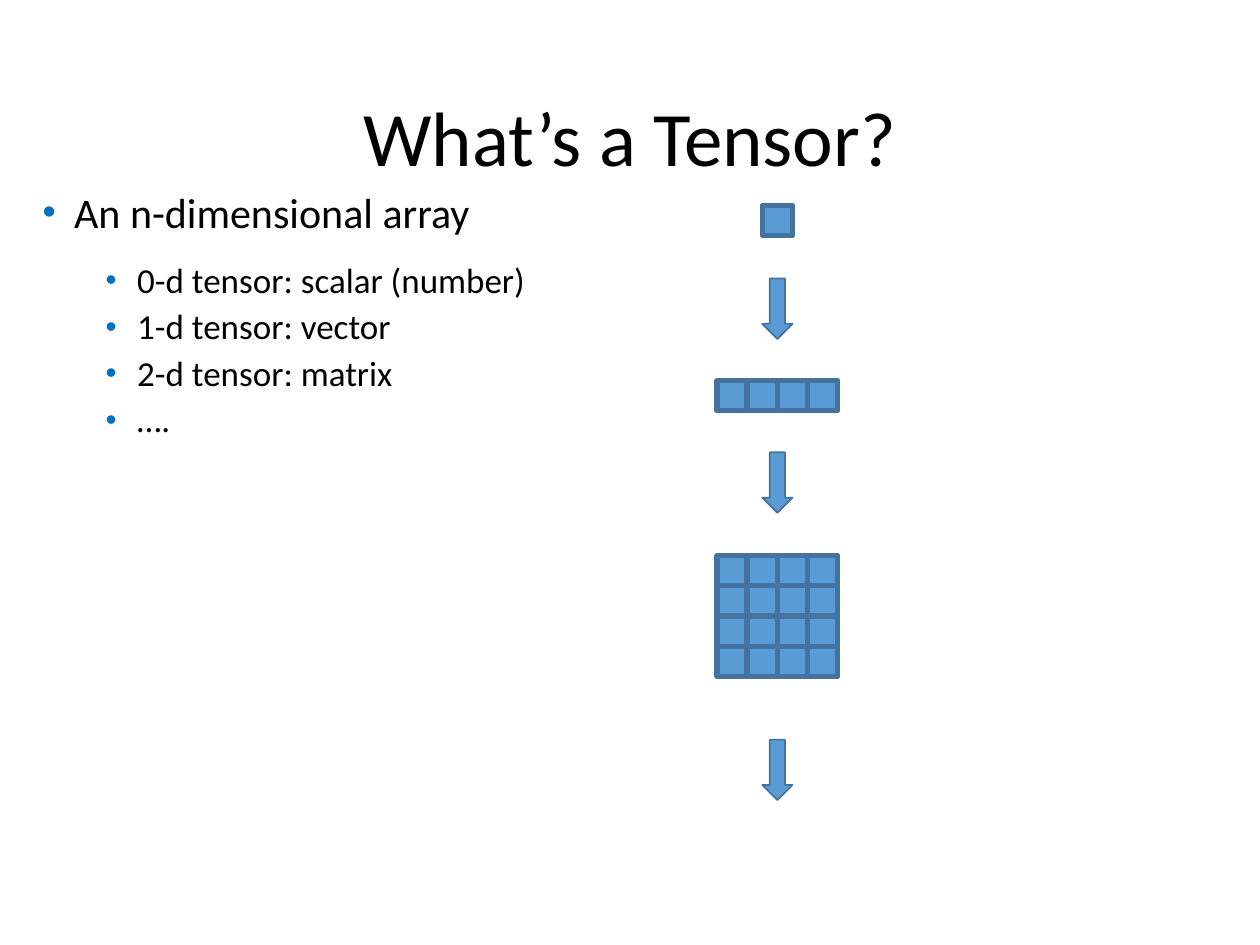
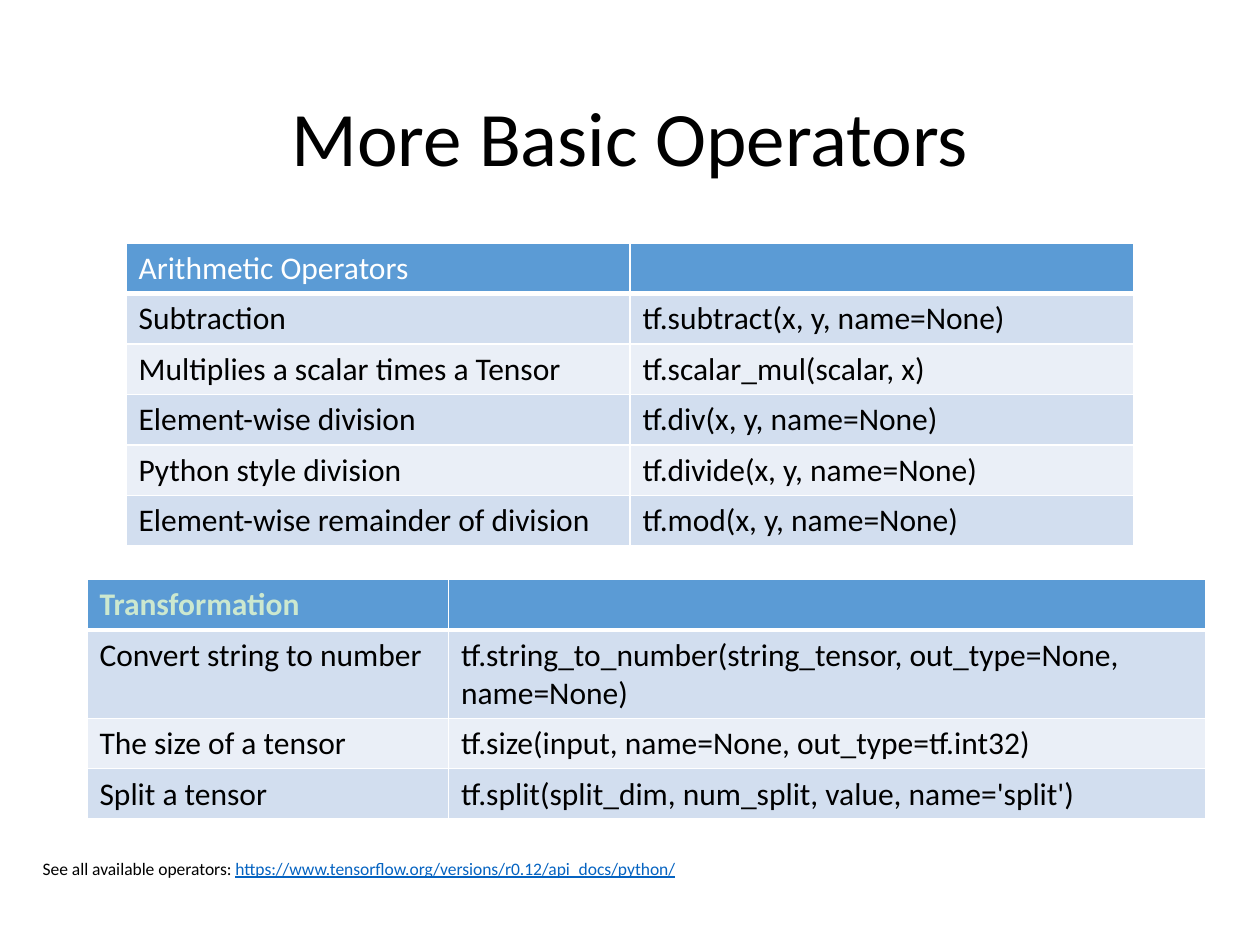
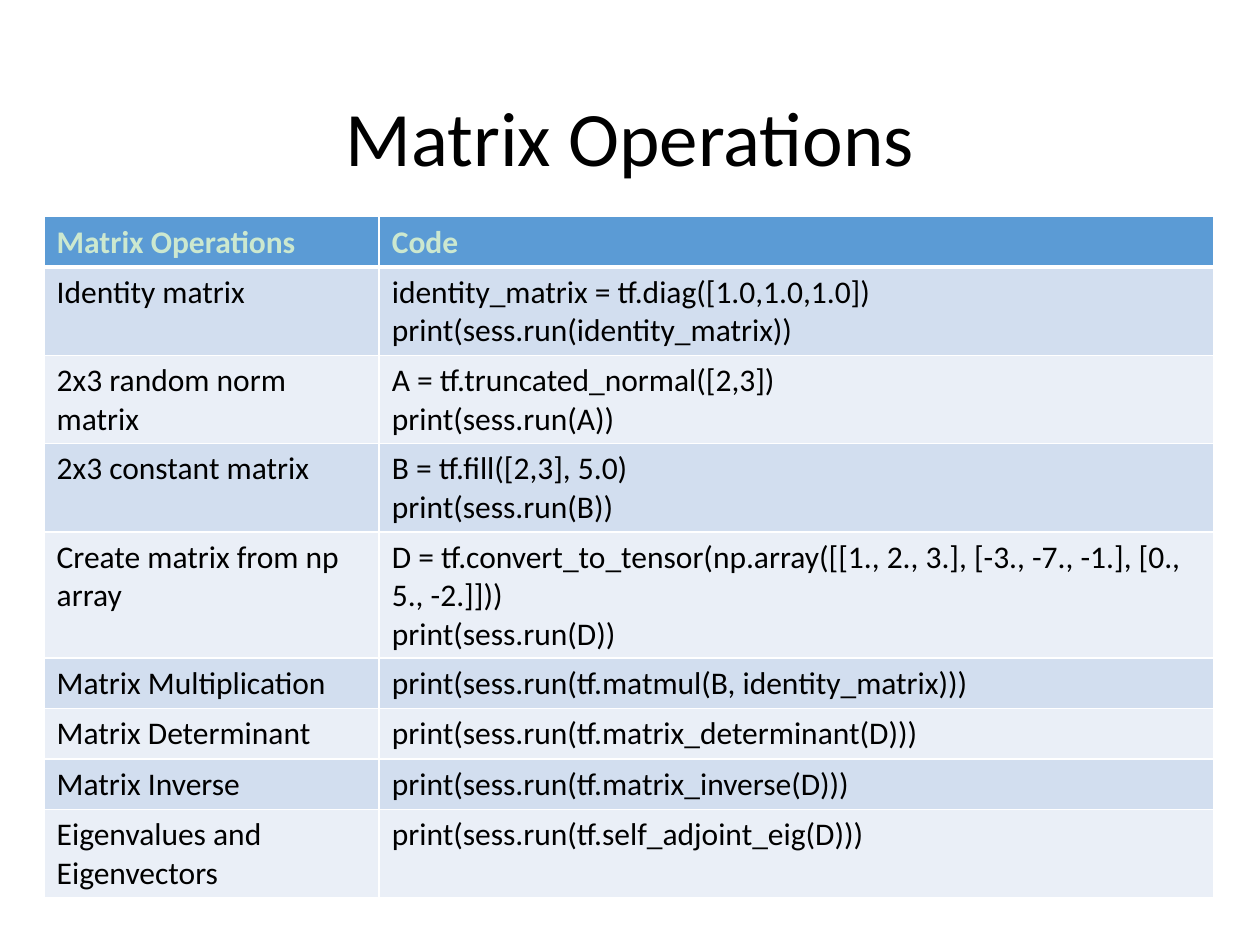
from dataclasses import dataclass
from itertools import product

from lxml import etree
from pptx import Presentation
from pptx.dml.color import RGBColor
from pptx.enum.shapes import MSO_SHAPE
from pptx.enum.text import MSO_ANCHOR, PP_ALIGN
from pptx.oxml.ns import qn
from pptx.util import Inches, Pt

RECTANGLE = MSO_SHAPE.RECTANGLE
DOWN_ARROW = MSO_SHAPE.DOWN_ARROW
MIDDLE = MSO_ANCHOR.MIDDLE
CENTER = PP_ALIGN.CENTER

FONT = "Calibri"
BLACK, WHITE = "000000", "FFFFFF"
BLUE, DARK_BLUE = "5B9BD5", "43739E"
PALE_GREEN = "CCE8CF"
BULLET_BLUE, LINK_BLUE = "0070C0", "0563C1"
BAND_COLOURS = ("D2DEEF", "EAEFF7")

CELL = 0.24  # side of one tensor element
ARROW_LEFT = 6.05


@dataclass
class Box:
    left: float
    top: float
    width: float
    height: float

    def lengths(self) -> list:
        return [Inches(value) for value in (self.left, self.top, self.width, self.height)]


@dataclass
class Grid:
    left: float
    top: float
    rows: int
    columns: int


@dataclass
class TableSpec:
    left: float
    top: float
    column_widths: list
    row_heights: list
    rows: list
    header_format: dict


TITLE_BOX = Box(0.69, 0.4, 8.62, 1.45)
BODY_BOX = Box(0.24, 1.43, 9.51, 5.33)
FOOTNOTE_BOX = Box(0.24, 6.76, 9.51, 0.34)

BOLD_HEADER = {"bold": True, "color": PALE_GREEN}
PLAIN_HEADER = {"bold": False, "color": WHITE}

BULLETS = [
    ("An n-dimensional array", 0),
    ("0-d tensor: scalar (number)", 1),
    ("1-d tensor: vector", 1),
    ("2-d tensor: matrix", 1),
    ("….", 1),
]
# Size, indent and spacing of each bullet level
BULLET_LEVELS = [
    (24, 0.25, {"space_before": Pt(10), "space_after": Pt(10)}),
    (20, 0.75, {"space_before": Pt(5), "line_spacing": 0.9}),
]

TENSORS = [Grid(ARROW_LEFT, 1.63, 1, 1), Grid(5.69, 3.02, 1, 4), Grid(5.69, 4.41, 4, 4)]
ARROW_TOPS = [2.21, 3.59, 5.87]

ARITHMETIC = TableSpec(1, 1.93, [4, 4], [0.4] * 6, [
    ("Arithmetic Operators", ""),
    ("Subtraction", "tf.subtract(x, y, name=None)"),
    ("Multiplies a scalar times a Tensor", "tf.scalar_mul(scalar, x)"),
    ("Element-wise division", "tf.div(x, y, name=None)"),
    ("Python style division", "tf.divide(x, y, name=None)"),
    ("Element-wise remainder of division", "tf.mod(x, y, name=None)"),
], PLAIN_HEADER)

TRANSFORMATION = TableSpec(0.69, 4.6, [2.87, 6.01], [0.4, 0.7, 0.4, 0.4], [
    ("Transformation", ""),
    ("Convert string to number",
     "tf.string_to_number(string_tensor, out_type=None, name=None)"),
    ("The size of a tensor", "tf.size(input, name=None, out_type=tf.int32)"),
    ("Split a tensor", "tf.split(split_dim, num_split, value, name='split')"),
], BOLD_HEADER)

MATRIX = TableSpec(0.35, 1.72, [2.66, 6.62],
                   [0.37, 0.6, 0.6, 0.6, 0.86, 0.35, 0.35, 0.35, 0.6], [
    ("Matrix Operations", "Code"),
    ("Identity matrix",
     "identity_matrix = tf.diag([1.0,1.0,1.0])\nprint(sess.run(identity_matrix))"),
    ("2x3 random norm matrix", "A = tf.truncated_normal([2,3])\nprint(sess.run(A))"),
    ("2x3 constant matrix", "B = tf.fill([2,3], 5.0)\nprint(sess.run(B))"),
    ("Create matrix from np array",
     "D = tf.convert_to_tensor(np.array([[1., 2., 3.], [-3., -7., -1.], [0., 5., -2.]]))\n"
     "print(sess.run(D))"),
    ("Matrix Multiplication", "print(sess.run(tf.matmul(B, identity_matrix)))"),
    ("Matrix Determinant", "print(sess.run(tf.matrix_determinant(D)))"),
    ("Matrix Inverse", "print(sess.run(tf.matrix_inverse(D)))"),
    ("Eigenvalues and Eigenvectors", "print(sess.run(tf.self_adjoint_eig(D)))"),
], BOLD_HEADER)


def rgb(colour: str) -> RGBColor:
    return RGBColor.from_string(colour)


def set_attributes(target, values: dict) -> None:
    for name, value in values.items():
        setattr(target, name, value)


def add_run(paragraph, text: str, size: float, color: str = BLACK, **font_format) -> None:
    run = paragraph.add_run()
    run.text = text
    set_attributes(run.font, {"name": FONT, "size": Pt(size), **font_format})
    run.font.color.rgb = rgb(color)


def add_text_frame(slide, box: Box):
    text_frame = slide.shapes.add_textbox(*box.lengths()).text_frame
    text_frame.word_wrap = True
    return text_frame


def add_titled_slide(presentation, title: str):
    slide = presentation.slides.add_slide(presentation.slide_layouts[6])
    text_frame = add_text_frame(slide, TITLE_BOX)
    text_frame.vertical_anchor = MIDDLE
    paragraph = text_frame.paragraphs[0]
    set_attributes(paragraph, {"alignment": CENTER, "line_spacing": 0.9})
    add_run(paragraph, title, 44)
    return slide


def add_bullet(paragraph, indent: float) -> None:
    properties = paragraph._p.get_or_add_pPr()
    properties.set("marL", str(Inches(indent)))
    properties.set("indent", str(Inches(-0.25)))
    colour = etree.SubElement(properties, qn("a:buClr"))
    etree.SubElement(colour, qn("a:srgbClr"), val=BULLET_BLUE)
    etree.SubElement(properties, qn("a:buSzPct"), val="90000")
    etree.SubElement(properties, qn("a:buFont"), typeface="Arial")
    etree.SubElement(properties, qn("a:buChar"), char="•")


def add_bullets(slide) -> None:
    text_frame = add_text_frame(slide, BODY_BOX)
    for index, (text, level) in enumerate(BULLETS):
        paragraph = text_frame.add_paragraph() if index else text_frame.paragraphs[0]
        size, indent, spacing = BULLET_LEVELS[level]
        set_attributes(paragraph, {"level": level, **spacing})
        add_bullet(paragraph, indent)
        add_run(paragraph, text, size)


def add_blue_shape(slide, kind, box: Box, line_width: float) -> None:
    shape = slide.shapes.add_shape(kind, *box.lengths())
    shape.shadow.inherit = False
    shape.fill.solid()
    shape.fill.fore_color.rgb = rgb(BLUE)
    shape.line.color.rgb = rgb(DARK_BLUE)
    shape.line.width = Pt(line_width)


def add_tensor(slide, grid: Grid) -> None:
    for row, column in product(range(grid.rows), range(grid.columns)):
        box = Box(grid.left + column * CELL, grid.top + row * CELL, CELL, CELL)
        add_blue_shape(slide, RECTANGLE, box, 3)


def set_borders(cell, widths: dict) -> None:
    properties = cell._tc.get_or_add_tcPr()
    for index, (side, width) in enumerate(widths.items()):
        line = etree.Element(qn(f"a:{side}"), w=str(Pt(width)))
        fill = etree.SubElement(line, qn("a:solidFill"))
        etree.SubElement(fill, qn("a:srgbClr"), val=WHITE)
        properties.insert(index, line)


def add_table(slide, spec: TableSpec) -> None:
    box = Box(spec.left, spec.top, sum(spec.column_widths), sum(spec.row_heights))
    table = slide.shapes.add_table(len(spec.rows), len(spec.column_widths), *box.lengths()).table
    for column, width in zip(table.columns, spec.column_widths):
        column.width = Inches(width)
    for row_index, (texts, height) in enumerate(zip(spec.rows, spec.row_heights)):
        table.rows[row_index].height = Inches(height)
        is_header = row_index == 0
        text_format = spec.header_format if is_header else {"bold": False}
        # A thick rule parts the header from the body
        borders = {"lnL": 1, "lnR": 1, "lnT": 3 if row_index == 1 else 1,
                   "lnB": 3 if is_header else 1}
        for column_index, text in enumerate(texts):
            cell = table.cell(row_index, column_index)
            cell.fill.solid()
            cell.fill.fore_color.rgb = rgb(BLUE if is_header else BAND_COLOURS[(row_index - 1) % 2])
            set_borders(cell, borders)
            for line_index, line in enumerate(text.split("\n") if text else []):
                text_frame = cell.text_frame
                paragraph = text_frame.add_paragraph() if line_index else text_frame.paragraphs[0]
                add_run(paragraph, line, 18, **text_format)


def add_footnote(slide) -> None:
    paragraph = add_text_frame(slide, FOOTNOTE_BOX).paragraphs[0]
    set_attributes(paragraph, {"space_before": Pt(10), "space_after": Pt(10)})
    add_run(paragraph, "See all available operators: ", 10)
    add_run(paragraph, "https://www.tensorflow.org/versions/r0.12/api_docs/python/", 10,
            LINK_BLUE, underline=True)


def main() -> None:
    presentation = Presentation()
    set_attributes(presentation, {"slide_width": Inches(10), "slide_height": Inches(7.5)})

    # Tensors of growing dimension
    slide = add_titled_slide(presentation, "What’s a Tensor?")
    add_bullets(slide)
    for tensor in TENSORS:
        add_tensor(slide, tensor)
    for top in ARROW_TOPS:
        add_blue_shape(slide, DOWN_ARROW, Box(ARROW_LEFT, top, CELL, 2 * CELL), 1)

    # Operators
    slide = add_titled_slide(presentation, "More Basic Operators")
    add_table(slide, ARITHMETIC)
    add_footnote(slide)
    add_table(slide, TRANSFORMATION)

    # Matrix code
    slide = add_titled_slide(presentation, "Matrix Operations")
    add_table(slide, MATRIX)

    presentation.save("out.pptx")


if __name__ == "__main__":
    main()
